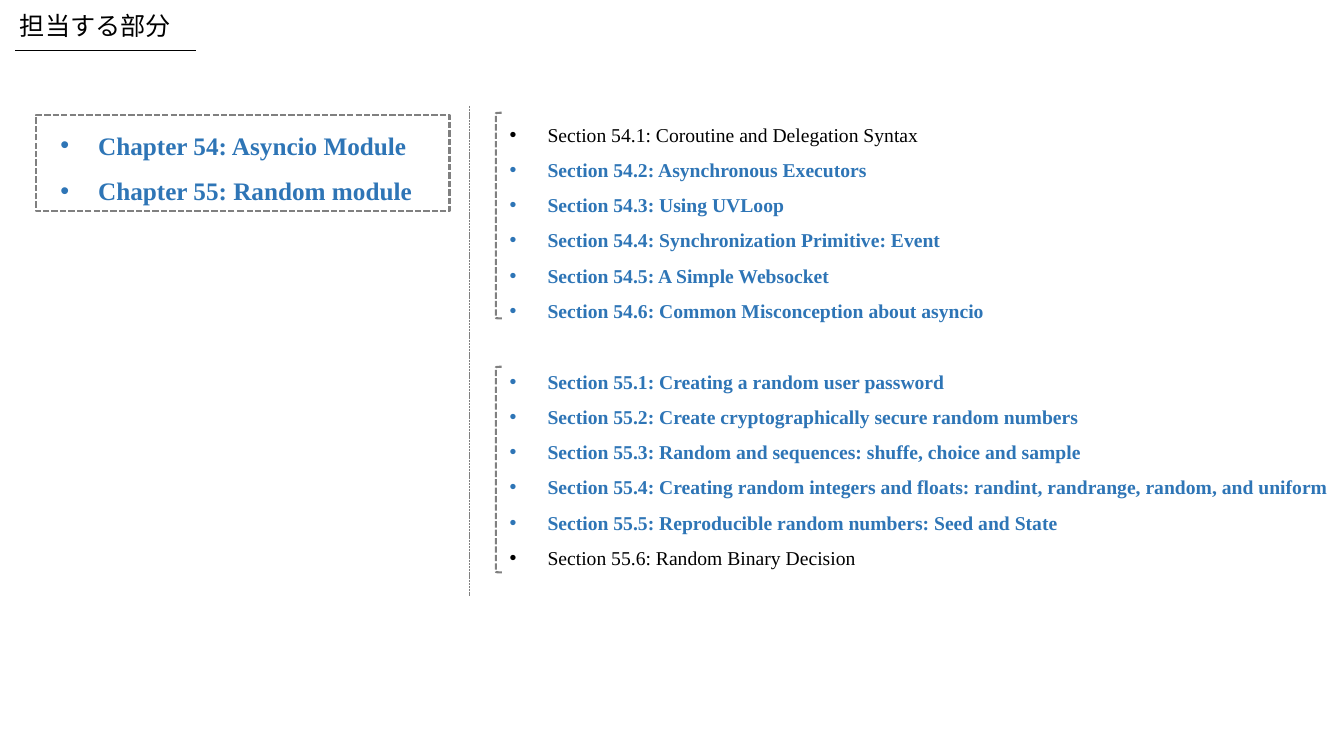
from pptx import Presentation
from pptx.dml.color import RGBColor
from pptx.enum.dml import MSO_LINE
from pptx.enum.shapes import MSO_CONNECTOR, MSO_SHAPE
from pptx.enum.text import MSO_AUTO_SIZE
from pptx.oxml.ns import qn
from pptx.util import Pt
from lxml import etree

RECT = MSO_SHAPE.RECTANGLE
BRACKET = MSO_SHAPE.LEFT_BRACKET
STRAIGHT = MSO_CONNECTOR.STRAIGHT
DASH = MSO_LINE.SQUARE_DOT
FIT = MSO_AUTO_SIZE.SHAPE_TO_FIT_TEXT

FONT = "Times New Roman"
BLACK, BLUE, GRAY = "000000", "2E75B6", "808080"
SECTION_GAP = 25.2

CHAPTERS = ["Chapter 54: Asyncio Module", "Chapter 55: Random module"]
SECTIONS = [
    [
        "Section 54.1: Coroutine and Delegation Syntax",
        "Section 54.2: Asynchronous Executors",
        "Section 54.3: Using UVLoop",
        "Section 54.4: Synchronization Primitive: Event",
        "Section 54.5: A Simple Websocket",
        "Section 54.6: Common Misconception about asyncio",
    ],
    [
        "Section 55.1: Creating a random user password",
        "Section 55.2: Create cryptographically secure random numbers",
        "Section 55.3: Random and sequences: shuffe, choice and sample",
        "Section 55.4: Creating random integers and floats: randint, randrange, random, and uniform",
        "Section 55.5: Reproducible random numbers: Seed and State",
        "Section 55.6: Random Binary Decision",
    ],
]
PLAIN_SECTIONS = {SECTIONS[0][0], SECTIONS[1][-1]}


def color(value):
    return RGBColor.from_string(value)


def add_text_box(slide, x, y, w, h):
    tf = slide.shapes.add_textbox(Pt(x), Pt(y), Pt(w), Pt(h)).text_frame
    tf.word_wrap = True
    tf.auto_size = FIT
    return tf


def add_run(p, text, size, fill, bold=False):
    r = p.add_run()
    r.text = text
    for name, value in {"name": FONT, "size": Pt(size), "bold": bold}.items():
        setattr(r.font, name, value)
    r.font.color.rgb = color(fill)


def add_bullet(tf, text, size, fill, bold, gap=0):
    p = tf.add_paragraph() if tf.text else tf.paragraphs[0]
    for name, value in {"level": 1, "line_spacing": 1.5, "space_before": Pt(gap)}.items():
        setattr(p, name, value)
    pPr = p._p.get_or_add_pPr()
    pPr.set("marL", str(Pt(63)))
    pPr.set("indent", str(Pt(-27)))
    etree.SubElement(pPr, qn("a:buFont")).set("typeface", "Arial")
    etree.SubElement(pPr, qn("a:buChar")).set("char", "•")
    add_run(p, text, size, fill, bold)


def style_line(line, stroke, width, dash=None):
    line.color.rgb = color(stroke)
    line.width = Pt(width)
    if dash:
        line.dash_style = dash


def add_outline(slide, kind, x, y, w, h):
    sp = slide.shapes.add_shape(kind, Pt(x), Pt(y), Pt(w), Pt(h))
    sp.shadow.inherit = False
    sp.fill.background()
    style_line(sp.line, GRAY, 1.5, DASH)


def add_rule(slide, x1, y1, x2, y2, stroke, dash=None):
    cxn = slide.shapes.add_connector(STRAIGHT, Pt(x1), Pt(y1), Pt(x2), Pt(y2))
    style_line(cxn.line, stroke, 0.5, dash)
    etree.SubElement(cxn._element.spPr, qn("a:effectLst"))


def main():
    prs = Presentation()
    prs.slide_width, prs.slide_height = Pt(960), Pt(540)
    slide = prs.slides.add_slide(prs.slide_layouts[6])

    tf = add_text_box(slide, 0, 78.5, 321, 69)
    for text in CHAPTERS:
        add_bullet(tf, text, 18, BLUE, True)

    add_rule(slide, 10.8, 36, 139.7, 36, BLACK)
    tf = add_text_box(slide, 7.2, 3.6, 175.7, 29)
    add_run(tf.paragraphs[0], "担当する部分", 18, BLACK)

    tf = add_text_box(slide, 321, 75.6, 639, 334.8)
    for i, group in enumerate(SECTIONS):
        for j, text in enumerate(group):
            plain = text in PLAIN_SECTIONS
            gap = SECTION_GAP if i and not j else 0
            add_bullet(tf, text, 14, BLACK if plain else BLUE, not plain, gap)

    for i in range(len(SECTIONS)):
        add_outline(slide, BRACKET, 354.2, 80.6 + 181.4 * i, 4.3, 146.9)
    add_outline(slide, RECT, 25.9, 82.1, 295.2, 69)
    add_rule(slide, 335.5, 75.6, 335.5, 425.5, GRAY, DASH)

    prs.save("out.pptx")


if __name__ == "__main__":
    main()
